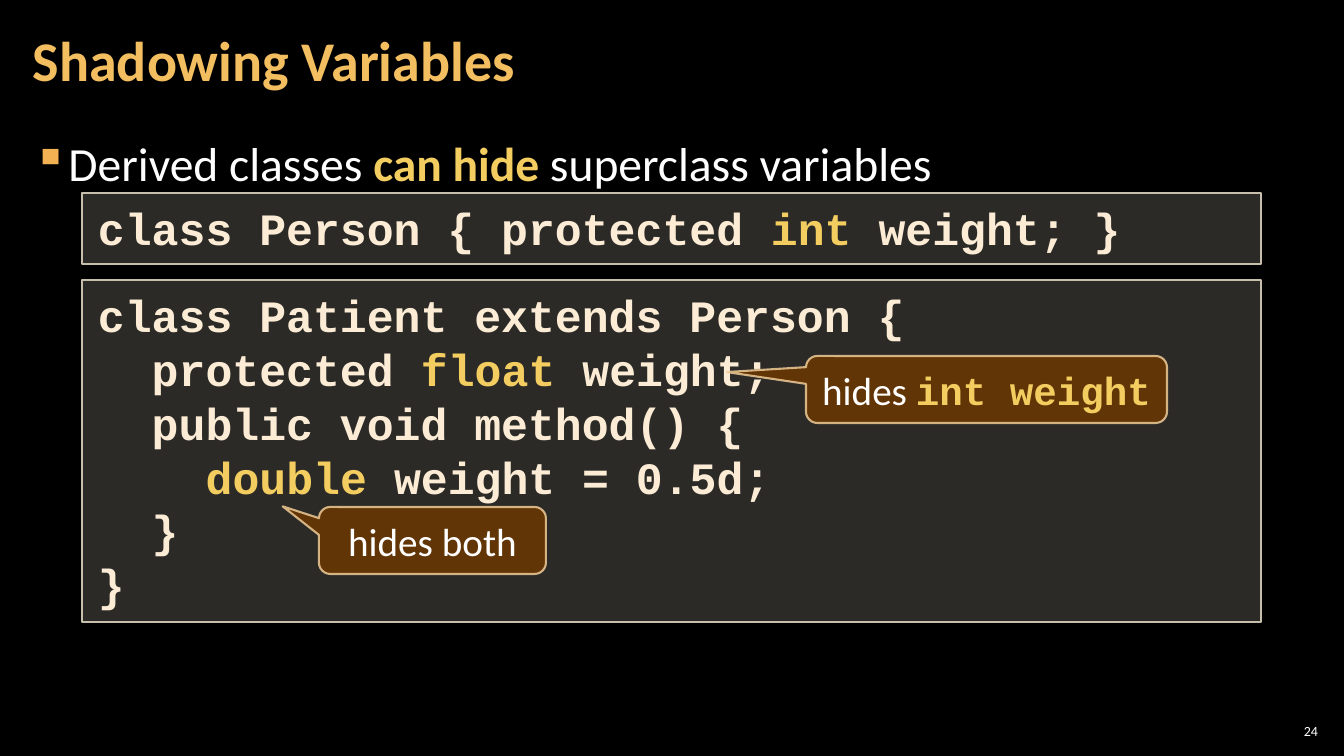
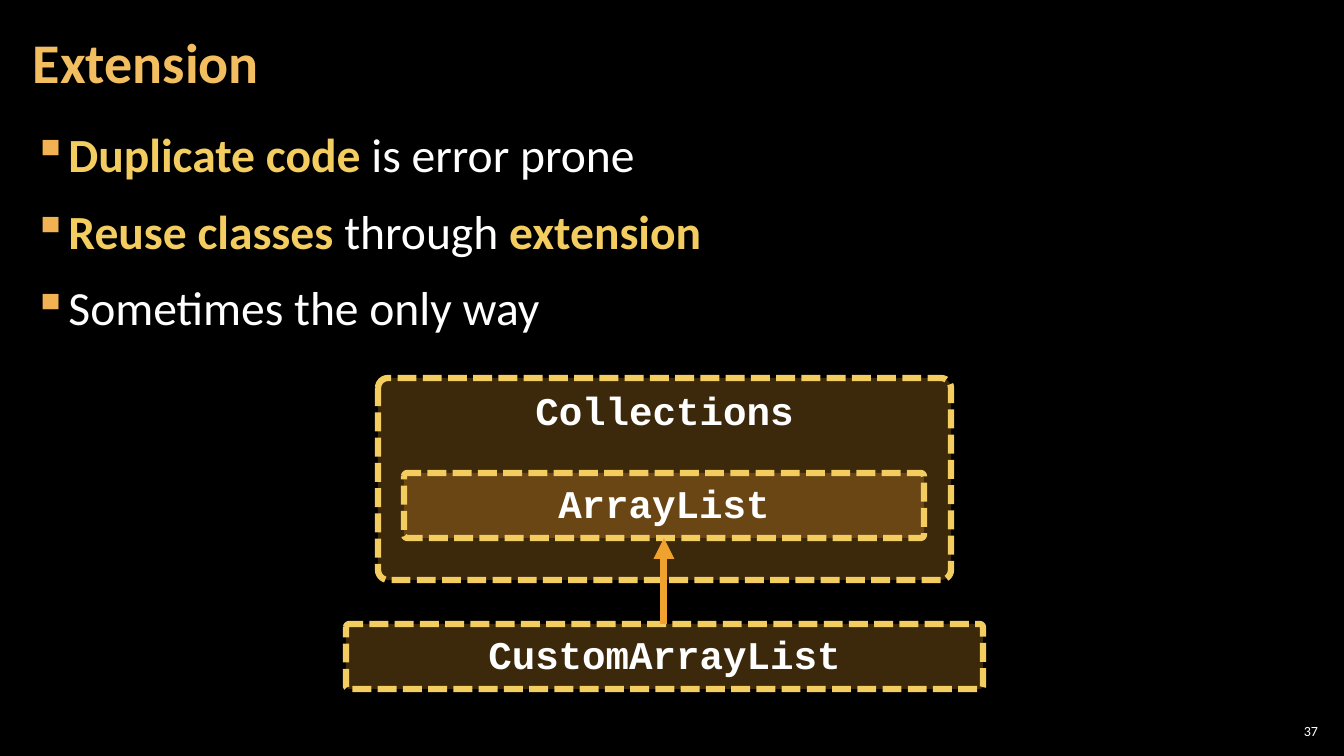
from lxml import etree
from pptx import Presentation
from pptx import util as u
from pptx.dml.color import RGBColor
from pptx.enum import dml, shapes, text
from pptx.oxml import ns

SCALE = 914400 / 100.8
SANS, MONO = "Calibri", "Courier New"
BLACK, WHITE, CREAM, YELLOW = "000000", "FFFFFF", "FCECD5", "F3CD60"
TITLE_COLOR, BULLET_COLOR, AMBER = "F3BE60", "F2B254", "F0A22E"

PLAIN = {"name": SANS, "bold": False, "color": WHITE}
STRONG = {"name": SANS, "bold": True, "color": YELLOW}
HEADING = {"name": SANS, "bold": True, "color": TITLE_COLOR}
CODE = {"name": MONO, "bold": True, "color": CREAM}
KEYWORD = {"name": MONO, "bold": True, "color": YELLOW}
CLASS_NAME = {"name": MONO, "bold": True, "color": WHITE}

CODE_BOX = {"fill": "D9D5C7", "fill_alpha": 20, "line": "C7BFAC", "width": 1}
CALLOUT = {"fill": "663606", "fill_alpha": 95, "line": "F8D49E", "width": 1.5, "line_alpha": 80}
CLASS_BOX = {"fill": AMBER, "fill_alpha": 25, "line": YELLOW, "width": 4.5,
             "dash": dml.MSO_LINE.SQUARE_DOT}


def px(value):
    return u.Emu(round(value * SCALE))


def rgb(value):
    return RGBColor.from_string(value)


def apply(target, values):
    for name, value in values.items():
        setattr(target, name, value)


def add_xml(parent, tag, **attributes):
    return etree.SubElement(parent, ns.qn(tag), attributes)


def set_alpha(properties, percent):
    color = properties.find(ns.qn("a:solidFill"))[0]
    add_xml(color, "a:alpha", val=str(percent * 1000))


def set_frame(shape, anchor, insets=(10, 5)):
    across, down = (px(inset) for inset in insets)
    apply(shape.text_frame, {
        "word_wrap": True, "vertical_anchor": anchor,
        "margin_left": across, "margin_right": across,
        "margin_top": down, "margin_bottom": down,
    })


def write(shape, lines, size, paragraph_format):
    frame = shape.text_frame
    for index, runs in enumerate(lines):
        paragraph = frame.add_paragraph() if index else frame.paragraphs[0]
        apply(paragraph, paragraph_format)
        for content, style in runs:
            run = paragraph.add_run()
            run.text = content
            apply(run.font, {"name": style["name"], "bold": style["bold"], "size": u.Pt(size)})
            run.font.color.rgb = rgb(style["color"])


def add_text(slide, box, lines, size, paragraph_format, anchor, insets):
    shape = slide.shapes.add_textbox(*map(px, box))
    set_frame(shape, anchor, insets)
    write(shape, lines, size, paragraph_format)
    return shape


def add_box(slide, kind, box, style, adjustments=()):
    shape = slide.shapes.add_shape(kind, *map(px, box))
    shape.shadow.inherit = False
    for index, value in enumerate(adjustments):
        shape.adjustments[index] = value
    shape.fill.solid()
    shape.fill.fore_color.rgb = rgb(style["fill"])
    set_alpha(shape._element.spPr, style["fill_alpha"])
    shape.line.color.rgb = rgb(style["line"])
    apply(shape.line, {"width": u.Pt(style["width"]), "dash_style": style.get("dash")})
    if "line_alpha" in style:
        set_alpha(shape._element.spPr.find(ns.qn("a:ln")), style["line_alpha"])
    return shape


def add_code(slide, box, lines):
    shape = add_box(slide, shapes.MSO_SHAPE.RECTANGLE, box, CODE_BOX)
    set_frame(shape, text.MSO_ANCHOR.TOP, (16, 8))
    write(shape, lines, 32, {"alignment": text.PP_ALIGN.LEFT})


def add_callout(slide, box, pointer, runs):
    shape = add_box(slide, shapes.MSO_SHAPE.ROUNDED_RECTANGULAR_CALLOUT, box, CALLOUT,
                    (*pointer, 0.17))
    set_frame(shape, text.MSO_ANCHOR.MIDDLE)
    write(shape, [runs], 28, {"alignment": text.PP_ALIGN.CENTER})


def add_class(slide, box, name):
    shape = add_box(slide, shapes.MSO_SHAPE.ROUNDED_RECTANGLE, box, CLASS_BOX, (0.05,))
    set_frame(shape, text.MSO_ANCHOR.TOP)
    write(shape, [[(name, CLASS_NAME)]], 28, {"alignment": text.PP_ALIGN.CENTER})


def add_arrow(slide, start, end):
    arrow = slide.shapes.add_connector(shapes.MSO_CONNECTOR.STRAIGHT, *map(px, (*start, *end)))
    arrow.line.color.rgb = rgb(AMBER)
    arrow.line.width = u.Pt(5)
    properties = arrow._element.spPr
    add_xml(properties.find(ns.qn("a:ln")), "a:tailEnd", type="triangle")
    add_xml(properties, "a:effectLst")


def add_bullets(slide, top, lines):
    spacing = {"line_spacing": 1.05, "space_before": u.Pt(6), "space_after": u.Pt(6)}
    shape = add_text(slide, (21, top, 1301, 614), lines, 34, spacing,
                     text.MSO_ANCHOR.TOP, (12, 4))
    for paragraph in shape.text_frame.paragraphs:
        properties = paragraph._p.get_or_add_pPr()
        properties.set("marL", str(px(33)))
        properties.set("indent", str(-px(33)))
        color = add_xml(properties, "a:buClr")
        add_xml(color, "a:srgbClr", val=BULLET_COLOR)
        add_xml(properties, "a:buChar", char="▪")


def add_slide(presentation, title, number, title_spacing):
    slide = presentation.slides.add_slide(presentation.slide_layouts[6])
    slide.background.fill.solid()
    slide.background.fill.fore_color.rgb = rgb(BLACK)
    add_text(slide, (21, 4, 1055, 122), [[(title, HEADING)]], 40,
             {"line_spacing": title_spacing}, text.MSO_ANCHOR.MIDDLE, (12, 4))
    add_text(slide, (1275, 720, 47, 21), [[(number, PLAIN)]], 10,
             {"alignment": text.PP_ALIGN.RIGHT}, text.MSO_ANCHOR.MIDDLE, (4, 4))
    return slide


def build_shadowing(presentation):
    slide = add_slide(presentation, "Shadowing Variables", "24", u.Pt(40))
    add_bullets(slide, 127, [
        [("Derived classes ", PLAIN), ("can hide ", STRONG), ("superclass variables", PLAIN)],
    ])
    add_code(slide, (82, 280, 1179, 342), [
        [("class Patient extends Person {", CODE)],
        [("  protected ", CODE), ("float", KEYWORD), (" weight;", CODE)],
        [("  public void method() {", CODE)],
        [("    ", CODE), ("double", KEYWORD), (" weight = 0.5d;", CODE)],
        [("  }", CODE)],
        [("}", CODE)],
    ])
    add_code(slide, (82, 193, 1179, 71), [
        [("class Person { protected ", CODE), ("int", KEYWORD), (" weight; }", CODE)],
    ])
    add_callout(slide, (806, 356, 361, 67), (-0.72, -0.26),
                [("hides ", PLAIN), ("int weight", KEYWORD)])
    add_callout(slide, (319, 507, 227, 67), (-0.66, -0.51), [("hides both", PLAIN)])


def build_extension(presentation):
    slide = add_slide(presentation, "Extension", "37", 0.9)
    add_bullets(slide, 118, [
        [("Duplicate code ", STRONG), ("is error prone", PLAIN)],
        [("Reuse classes ", STRONG), ("through ", PLAIN), ("extension", STRONG)],
        [("Sometimes the only way", PLAIN)],
    ])
    add_class(slide, (378, 378, 573, 202), "Collections")
    add_class(slide, (404, 473, 520, 65), "ArrayList")
    add_class(slide, (346, 624, 637, 65), "CustomArrayList")
    add_arrow(slide, (664, 624), (664, 538))


def main():
    presentation = Presentation()
    apply(presentation, {"slide_width": px(1344), "slide_height": px(756)})
    build_shadowing(presentation)
    build_extension(presentation)
    presentation.save("out.pptx")


main()
